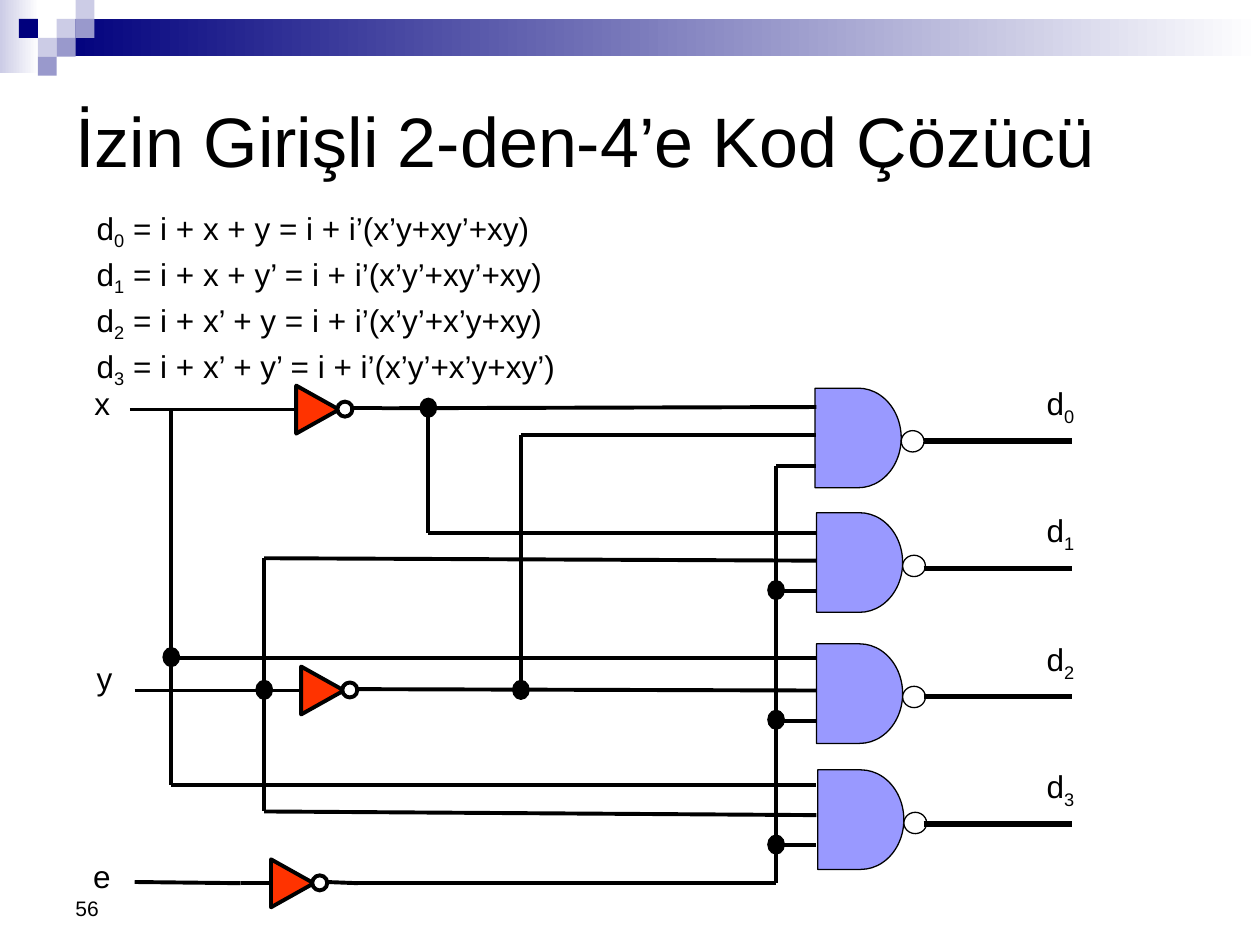
"""Build the slide on a 2-to-4 decoder with an enable input."""
from dataclasses import dataclass
from itertools import pairwise

from lxml import etree
from pptx import Presentation
from pptx import util as u
from pptx.dml.color import RGBColor
from pptx.enum import shapes, text
from pptx.oxml.ns import qn

SHAPE = shapes.MSO_SHAPE


@dataclass(frozen=True)
class Theme:
    font: str = "Arial"
    black: str = "000000"
    white: str = "FFFFFF"
    navy: str = "00007D"
    lavender: str = "CCCCE6"
    violet: str = "9999CC"
    gate: str = "9999FF"
    inverter: str = "FF3300"
    title: float = 40
    body: float = 18
    number: float = 12
    thin: float = 0.75
    wire: float = 2.25
    output: float = 3


class SlideBuilder:
    def __init__(self, theme, slide):
        self.theme = theme
        self.slide = slide

    def shape(self, kind, left, top, width, height, fill, line=None, rotation=0):
        shape = self.slide.shapes.add_shape(kind, *map(u.Pt, (left, top, width, height)))
        shape.shadow.inherit = False
        shape.rotation = rotation
        if isinstance(fill, tuple):
            shape.fill.gradient()
            shape.fill.gradient_angle = 0
            for stop, color in zip(shape.fill.gradient_stops, fill):
                stop.color.rgb = RGBColor.from_string(color)
        else:
            shape.fill.solid()
            shape.fill.fore_color.rgb = RGBColor.from_string(fill)
        if line:
            shape.line.color.rgb = RGBColor.from_string(self.theme.black)
            shape.line.width = u.Pt(line)
        else:
            shape.line.fill.background()
        return shape

    def wire(self, *points, width=None):
        for start, end in pairwise(points):
            connector = self.slide.shapes.add_connector(
                shapes.MSO_CONNECTOR.STRAIGHT, *map(u.Pt, (*start, *end)))
            connector.line.color.rgb = RGBColor.from_string(self.theme.black)
            connector.line.width = u.Pt(width or self.theme.wire)
            etree.SubElement(connector._element.spPr, qn("a:effectLst"))

    def format_run(self, run, size):
        run.font.name = self.theme.font
        run.font.size = u.Pt(size)
        run.font.color.rgb = RGBColor.from_string(self.theme.black)

    def set_words(self, paragraph, letter, index="", rest="", size=None):
        paragraph.text = letter
        for part in filter(None, (index, rest)):
            paragraph.add_run().text = part
        for run in paragraph.runs:
            self.format_run(run, size or self.theme.body)
        if index:
            paragraph.runs[1]._r.get_or_add_rPr().set("baseline", "-25000")

    def textbox(self, left, top, width, height, wrap=True):
        box = self.slide.shapes.add_textbox(*map(u.Pt, (left, top, width, height)))
        box.text_frame.word_wrap = wrap
        return box.text_frame

    def label(self, left, top, letter, index=""):
        frame = self.textbox(left, top, 36, 36, wrap=False)
        self.set_words(frame.paragraphs[0], letter, index)

    def title(self, words):
        title = self.slide.shapes.title
        title.left, title.top, title.width, title.height = map(u.Pt, (36, 26, 648, 108))
        title.text_frame.text = words
        title.text_frame.vertical_anchor = text.MSO_ANCHOR.MIDDLE
        paragraph = title.text_frame.paragraphs[0]
        paragraph.alignment = text.PP_ALIGN.LEFT
        self.format_run(paragraph.runs[0], self.theme.title)

    def page_number(self, number):
        frame = self.textbox(36, 492, 168, 37.5)
        frame.vertical_anchor = text.MSO_ANCHOR.BOTTOM
        self.set_words(frame.paragraphs[0], number, size=self.theme.number)

    def equations(self, right_sides):
        frame = self.textbox(48.2, 116, 340, 160)
        for index, right_side in enumerate(right_sides):
            paragraph = frame.add_paragraph() if index else frame.paragraphs[0]
            self.set_words(paragraph, "d", str(index), f" = {right_side}")
            paragraph.line_spacing = 0.9
            paragraph.space_before = u.Pt(4.2)
            properties = paragraph._p.get_or_add_pPr()
            properties.set("marL", str(u.Pt(27)))
            properties.set("indent", str(u.Pt(-27)))

    def header(self):
        theme, step = self.theme, 10.8
        self.shape(SHAPE.RECTANGLE, 0, 0, 22.3, 41.8, (theme.lavender, theme.white))
        self.shape(SHAPE.RECTANGLE, 32.4, step, 687.6, 21.4, (theme.navy, theme.white))
        tiles = [(3, 1, theme.lavender), (4, 0, theme.lavender), (4, 1, theme.violet),
                 (2, 2, theme.lavender), (1, 1, theme.navy), (3, 2, theme.violet),
                 (2, 3, theme.violet)]
        for column, row, color in tiles:
            self.shape(SHAPE.RECTANGLE, column * step, row * step, step, step, color)

    def gate(self, index, left, top, output):
        theme = self.theme
        self.shape(SHAPE.FLOWCHART_DELAY, left, top, 49.2, 56.9, theme.gate, theme.thin)
        self.shape(SHAPE.OVAL, left + 49.2, top + 24.3, 13, 12.2, theme.white, theme.thin)
        self.wire((527.8, output), (612.7, output), width=theme.output)
        self.label(591, output - 36, "d", str(index))

    def inverter(self, left, top):
        theme = self.theme
        self.shape(SHAPE.FLOWCHART_EXTRACT, left, top, 27.4, 24.5,
                   theme.inverter, theme.wire, rotation=90)
        self.shape(SHAPE.OVAL, left + 25, top + 7.7, 8.6, 8.6, theme.white, theme.wire)

    def junction(self, x, y):
        self.shape(SHAPE.OVAL, x - 4.7, y - 5.4, 9.4, 10.8, self.theme.black, self.theme.thin)


def main():
    presentation = Presentation()
    presentation.slide_width, presentation.slide_height = u.Pt(720), u.Pt(540)
    slide = presentation.slides.add_slide(presentation.slide_layouts[5])
    builder = SlideBuilder(Theme(), slide)
    builder.header()
    builder.page_number("56")
    builder.title("İzin Girişli 2-den-4’e Kod Çözücü")

    gates = [(465.8, 221.8, 252), (466.6, 293, 324.7),
             (466.6, 367.9, 398.2), (467.3, 439.9, 470.9)]
    for index, (left, top, output) in enumerate(gates):
        builder.gate(index, left, top, output)
    for left, top in [(153.4, 492.5), (167.8, 221.8), (170.6, 382.3)]:
        builder.inverter(left, top)
    for letter, left, top in [("x", 46.8, 216), ("y", 48.2, 373), ("e", 46.1, 486)]:
        builder.label(left, top, letter)

    gate_side, x_bus, y_bus, enable_bus = 466.5, 97.9, 151, 443.5
    not_x, not_y = 244.8, 297.7
    wires = [
        [(74.2, 234), (169.2, 234)],
        [(200.2, 233.3), (218.2, 233.3), (gate_side, 232.6)],
        [(not_x, 233.3), (not_x, 304.6), (gate_side, 304.6)],
        [(x_bus, 233.3), (x_bus, 448.6), (gate_side, 448.6)],
        [(x_bus, 375.8), (gate_side, 375.8)],
        [(77, 394.6), (172.1, 394.6)],
        [(203, 393.8), (gate_side, 394.6)],
        [(not_y, 394.6), (not_y, 248.4), (gate_side, 248.4)],
        [(gate_side, 320.4), (y_bus, 319), (y_bus, 463.7), (gate_side, 465.8)],
        [(77, 504), (137.5, 504.7), (155.5, 504.7)],
        [(186.5, 504), (204.5, 504.7), (enable_bus, 504.7),
         (enable_bus, 266.4), (gate_side, 266.4)],
    ]
    for points in wires:
        builder.wire(*points)
    enable_taps = [337.7, 411.8, 483.1]
    for y in enable_taps:
        builder.wire((enable_bus, y), (gate_side, y))
    junctions = [(y_bus, 394.2), (not_x, 233), (not_y, 394.2), (x_bus, 375.5)]
    for x, y in junctions + [(enable_bus, y - 0.5) for y in enable_taps]:
        builder.junction(x, y)

    builder.equations([
        "i + x + y = i + i’(x’y+xy’+xy)",
        "i + x + y’ = i + i’(x’y’+xy’+xy)",
        "i + x’ + y = i + i’(x’y’+x’y+xy)",
        "i + x’ + y’ = i + i’(x’y’+x’y+xy’)",
    ])
    presentation.save("out.pptx")


if __name__ == "__main__":
    main()
